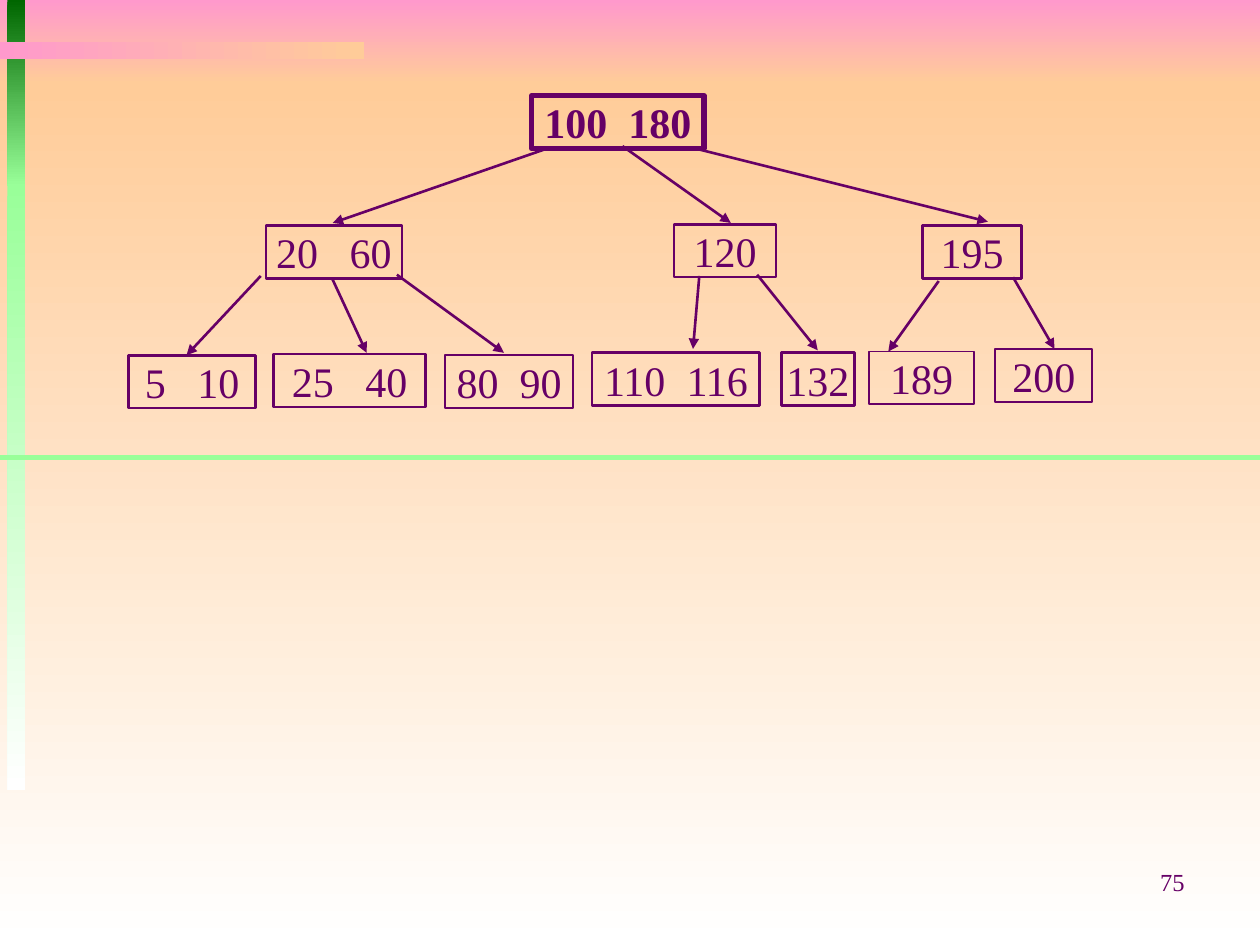
from dataclasses import dataclass

from lxml.etree import SubElement
from pptx import Presentation
from pptx.dml.color import RGBColor
from pptx.enum.shapes import MSO_CONNECTOR, MSO_SHAPE
from pptx.enum.text import MSO_ANCHOR, PP_ALIGN
from pptx.oxml.ns import qn
from pptx.util import Pt


@dataclass(frozen=True)
class Theme:
    ink: str = "660066"
    pink: str = "FF99CC"
    peach: str = "FFCC99"
    white: str = "FFFFFF"
    dark_green: str = "006600"
    light_green: str = "99FF99"
    font: str = "Times New Roman"
    key_size: float = 24
    page_size: float = 14
    space_width: float = 6


THEME = Theme()
SLIDE_WIDTH, SLIDE_HEIGHT = 720, 540
NODE_HEIGHT = 30.2
DOWN, RIGHT = 270, 0

# left, top, width, height, first colour, last colour, direction
BANDS = [
    (0, 0, SLIDE_WIDTH, 48, THEME.pink, THEME.peach, DOWN),
    (0, 48, SLIDE_WIDTH, 492, THEME.peach, THEME.white, DOWN),
    (4.3, 0, 10.1, 106.5, THEME.dark_green, THEME.light_green, DOWN),
    (4.3, 105.1, 10.1, 346.3, THEME.light_green, THEME.white, DOWN),
    (0, 23.8, 208, 10.1, THEME.pink, THEME.peach, RIGHT),
]

# keys, spaces between keys, left, top, width, outline
ROOT = (("100", "180"), 2, 303.8, 54.7, 98.6, 3)
NODES = [
    (("20", "60"), 3, 151.9, 128.9, 77.8, 1.5),
    (("120",), 0, 385.2, 128.2, 58.3, 1.5),
    (("195",), 0, 527, 128.9, 56.9, 1.5),
    (("5", "10"), 3, 73.4, 203, 72.7, 1.5),
    (("25", "40"), 3, 156.2, 202.3, 87.1, 1.5),
    (("80", "90"), 2, 254.2, 203, 73.4, 1),
    (("110", "116"), 2, 338.4, 201.6, 95.8, 1.5),
    (("132",), 0, 446.4, 201.6, 41.8, 1.5),
    (("189",), 0, 496.8, 200.9, 59.8, 1),
    (("200",), 0, 568.8, 199.4, 55.4, 1),
]

# start x, start y, end x, end y
BRANCHES = [
    (314.6, 84.2, 190.1, 127.4),
    (355.7, 83.5, 417.6, 127.4),
    (394.6, 84.2, 564.5, 126.7),
    (149, 157.7, 106.6, 203),
    (190.1, 159.8, 209.5, 201.6),
    (226.8, 157, 288, 201.6),
    (399.6, 157.7, 396, 199.4),
    (432.7, 157, 467.3, 200.2),
    (536.4, 160.6, 507.6, 200.9),
    (578.9, 158.4, 602.6, 199.4),
]


def color(code):
    return RGBColor.from_string(code)


def add_rectangle(slide, left, top, width, height):
    rectangle = slide.shapes.add_shape(
        MSO_SHAPE.RECTANGLE, Pt(left), Pt(top), Pt(width), Pt(height))
    rectangle.shadow.inherit = False
    return rectangle


def add_band(slide, left, top, width, height, first, last, direction):
    band = add_rectangle(slide, left, top, width, height)
    band.line.fill.background()
    band.fill.gradient()
    band.fill.gradient_angle = direction
    for stop, code, position in zip(band.fill.gradient_stops, (first, last), (0, 1)):
        stop.color.rgb = color(code)
        stop.position = position


def add_line(slide, start_x, start_y, end_x, end_y, code, weight):
    line = slide.shapes.add_connector(
        MSO_CONNECTOR.STRAIGHT, Pt(start_x), Pt(start_y), Pt(end_x), Pt(end_y))
    line.line.color.rgb = color(code)
    line.line.width = Pt(weight)
    SubElement(line._element.spPr, qn("a:effectLst"))
    return line


def add_branch(slide, start_x, start_y, end_x, end_y):
    branch = add_line(slide, start_x, start_y, end_x, end_y, THEME.ink, 1.5)
    SubElement(branch.line._get_or_add_ln(), qn("a:tailEnd"), type="triangle")


def style_paragraph(paragraph, size, alignment, bold=False):
    paragraph.alignment = alignment
    paragraph.font.name = THEME.font
    paragraph.font.size = Pt(size)
    paragraph.font.bold = bold
    paragraph.font.color.rgb = color(THEME.ink)


def add_keys(paragraph, keys, spaces):
    """Write the keys, with one space widened to the given number of spaces."""
    for index, key in enumerate(keys):
        if index:
            gap = paragraph.add_run()
            gap.text = " "
            extra = (spaces - 1) * THEME.space_width
            gap._r.get_or_add_rPr().set("spc", str(int(extra * 100)))
        paragraph.add_run().text = key


def add_node(slide, keys, spaces, left, top, width, outline, bold=False):
    node = add_rectangle(slide, left, top, width, NODE_HEIGHT)
    node.fill.background()
    node.line.color.rgb = color(THEME.ink)
    node.line.width = Pt(outline)
    frame = node.text_frame
    frame.word_wrap = False
    frame.vertical_anchor = MSO_ANCHOR.MIDDLE
    paragraph = frame.paragraphs[0]
    add_keys(paragraph, keys, spaces)
    style_paragraph(paragraph, THEME.key_size, PP_ALIGN.CENTER, bold)


def add_page_number(slide, number):
    box = slide.shapes.add_textbox(Pt(516.2), Pt(491.8), Pt(167.8), Pt(37.4))
    box.text_frame.word_wrap = True
    paragraph = box.text_frame.paragraphs[0]
    paragraph.add_run().text = number
    style_paragraph(paragraph, THEME.page_size, PP_ALIGN.RIGHT)


def main():
    presentation = Presentation()
    presentation.slide_width = Pt(SLIDE_WIDTH)
    presentation.slide_height = Pt(SLIDE_HEIGHT)
    slide = presentation.slides.add_slide(presentation.slide_layouts[6])
    for band in BANDS:
        add_band(slide, *band)
    add_line(slide, 0, 261.4, SLIDE_WIDTH, 261.4, THEME.light_green, 3)
    add_node(slide, *ROOT, bold=True)
    for node in NODES:
        add_node(slide, *node)
    for branch in BRANCHES:
        add_branch(slide, *branch)
    add_page_number(slide, "75")
    presentation.save("out.pptx")


if __name__ == "__main__":
    main()
